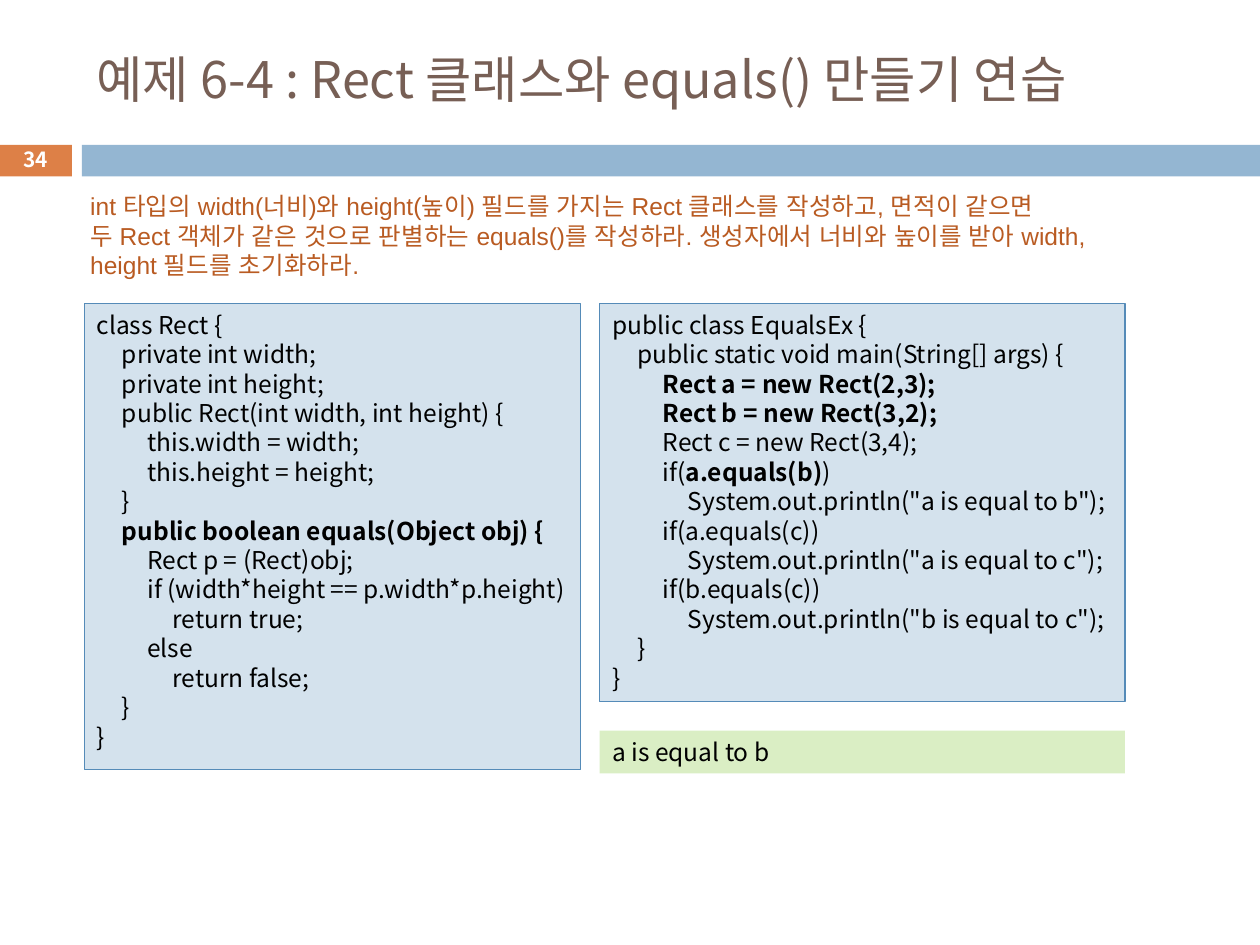
from lxml import etree
from pptx import Presentation
from pptx.dml.color import RGBColor
from pptx.enum.shapes import MSO_SHAPE
from pptx.enum.text import MSO_ANCHOR, PP_ALIGN
from pptx.oxml.ns import qn
from pptx.util import Cm, Pt

RECTANGLE = MSO_SHAPE.RECTANGLE
TOP, MIDDLE = MSO_ANCHOR.TOP, MSO_ANCHOR.MIDDLE
LEFT, CENTER = PP_ALIGN.LEFT, PP_ALIGN.CENTER

COLORS = {
    "orange": "DD8047",
    "blue": "94B6D2",
    "title": "775F55",
    "task": "B95B22",
    "code_fill": "D4E2ED",
    "code_line": "558BB8",
    "output_fill": "DAEEC4",
    "black": "000000",
    "white": "FFFFFF",
}
FONT = "Noto Sans CJK KR"
TASK_FONT = "Arial"
BODY_SIZE = 14
LINE_PITCH = Pt(16.8)
TAB_STEP = Cm(0.51)
TAB_COUNT = 3
BOLD_MARK = "**"

CODE_TOP = 6.12
RIGHT_COLUMN = 12.09
RIGHT_WIDTH = 10.59
BAND_TOP = 2.92
BAND_HEIGHT = 0.64

TITLE = "예제 6-4 : Rect 클래스와 equals() 만들기 연습"
TASK = """int 타입의 width(너비)와 height(높이) 필드를 가지는 Rect 클래스를 작성하고, 면적이 같으면
두 Rect 객체가 같은 것으로 판별하는 equals()를 작성하라. 생성자에서 너비와 높이를 받아 width, height 필드를 초기화하라."""
RECT_CODE = """class Rect {
    private int width;
    private int height;
    public Rect(int width, int height) {
        this.width = width;
        this.height = height;
    }
    **public boolean equals(Object obj) {**
        Rect p = (Rect)obj;
        if (width*height == p.width*p.height)
            return true;
        else
            return false;
    }
}"""
MAIN_CODE = """public class EqualsEx {
    public static void main(String[] args) {
        **Rect a = new Rect(2,3);**
        **Rect b = new Rect(3,2);**
        Rect c = new Rect(3,4);
        if(**a.equals(b)**)
            System.out.println("a is equal to b");
        if(a.equals(c))
            System.out.println("a is equal to c");
        if(b.equals(c))
            System.out.println("b is equal to c");
    }
}"""


def color(name):
    return RGBColor.from_string(COLORS[name])


def add_tab_stops(para):
    stops = etree.SubElement(para._p.get_or_add_pPr(), qn("a:tabLst"))
    for number in range(1, TAB_COUNT + 1):
        etree.SubElement(stops, qn("a:tab"), pos=str(number * TAB_STEP), algn="l")


def style_span(span, size, font, ink, bold):
    span.font.size = Pt(size)
    span.font.name = font
    span.font.bold = bold
    span.font.color.rgb = color(ink)
    etree.SubElement(span._r.get_or_add_rPr(), qn("a:ea"), typeface=font)


def write_text(box, text, ink, size=BODY_SIZE, font=FONT, bold=False,
               anchor=TOP, align=LEFT, pitch=None, tabs=False):
    frame = box.text_frame
    frame.word_wrap = True
    frame.vertical_anchor = anchor
    for index, line in enumerate(text.split("\n")):
        para = frame.add_paragraph() if index else frame.paragraphs[0]
        if tabs:
            add_tab_stops(para)
        para.alignment = align
        para.line_spacing = pitch
        for part, words in enumerate(line.replace("    ", "\t").split(BOLD_MARK)):
            if words:
                span = para.add_run()
                span.text = words
                style_span(span, size, font, ink, bold or part % 2 == 1)


def add_panel(page, left, top, width, height, fill, line=None):
    panel = page.shapes.add_shape(RECTANGLE, Cm(left), Cm(top), Cm(width), Cm(height))
    panel.shadow.inherit = False
    panel.fill.solid()
    panel.fill.fore_color.rgb = color(fill)
    if line:
        panel.line.color.rgb = color(line)
        panel.line.width = Pt(0.75)
    else:
        panel.line.fill.background()
    return panel


def add_label(page, left, top, width, height, text, ink, **style):
    box = page.shapes.add_textbox(Cm(left), Cm(top), Cm(width), Cm(height))
    write_text(box, text, ink, **style)


def add_code(page, left, width, height, code):
    panel = add_panel(page, left, CODE_TOP, width, height, "code_fill", "code_line")
    panel.text_frame.margin_right = Cm(0.1)
    write_text(panel, code, "black", pitch=LINE_PITCH, tabs=True)


def main():
    deck = Presentation()
    deck.slide_width, deck.slide_height = Cm(25.4), Cm(19.05)
    page = deck.slides.add_slide(deck.slide_layouts[6])

    add_panel(page, 0, BAND_TOP, 1.45, BAND_HEIGHT, "orange")
    add_panel(page, 1.65, BAND_TOP, 23.75, BAND_HEIGHT, "blue")
    add_label(page, 1.7, 0.64, 22.66, 1.88, TITLE, "title", size=28.8, anchor=MIDDLE)
    add_code(page, 1.7, 10.01, 9.4, RECT_CODE)
    add_label(page, 1.57, 3.73, 21.82, 2.06, TASK, "task", font=TASK_FONT, pitch=LINE_PITCH)
    add_code(page, RIGHT_COLUMN, RIGHT_WIDTH, 8.03, MAIN_CODE)
    output = add_panel(page, RIGHT_COLUMN, 14.73, RIGHT_WIDTH, 0.86, "output_fill")
    write_text(output, "a is equal to b", "black", pitch=LINE_PITCH)
    add_label(page, 0, 2.87, 1.45, 0.69, "34", "white", size=11.9, bold=True,
              anchor=MIDDLE, align=CENTER)

    deck.save("out.pptx")


if __name__ == "__main__":
    main()
